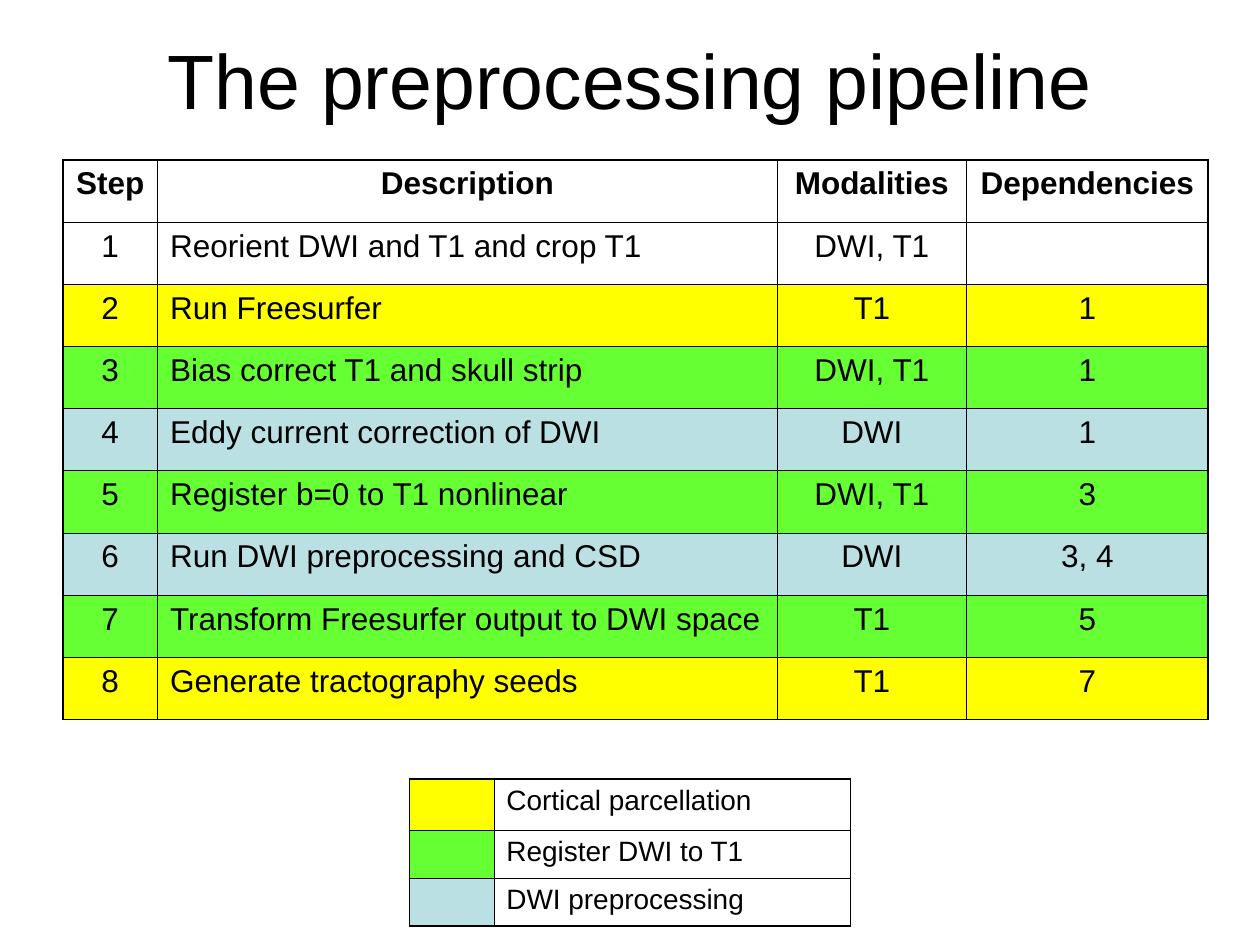
from lxml.etree import SubElement
from pptx import Presentation
from pptx.dml.color import RGBColor
from pptx.enum.text import MSO_ANCHOR, PP_ALIGN
from pptx.oxml.ns import qn
from pptx.util import Inches, Pt

COLORS = {
    "ink": "000000",
    "parcellation": "FFFF00",
    "registration": "66FF33",
    "diffusion": "BBE0E3",
}
FONT = "Arial"
OUTER_LINE, INNER_LINE = Pt(1.08), Pt(0.45)

HEADINGS = ["Step", "Description", "Modalities", "Dependencies"]
STEPS = [
    ("Reorient DWI and T1 and crop T1", "DWI, T1", "", None),
    ("Run Freesurfer", "T1", "1", "parcellation"),
    ("Bias correct T1 and skull strip", "DWI, T1", "1", "registration"),
    ("Eddy current correction of DWI", "DWI", "1", "diffusion"),
    ("Register b=0 to T1 nonlinear", "DWI, T1", "3", "registration"),
    ("Run DWI preprocessing and CSD", "DWI", "3, 4", "diffusion"),
    ("Transform Freesurfer output to DWI space", "T1", "5", "registration"),
    ("Generate tractography seeds", "T1", "7", "parcellation"),
]
LEGEND = [
    ("parcellation", "Cortical parcellation"),
    ("registration", "Register DWI to T1"),
    ("diffusion", "DWI preprocessing"),
]


def write(frame, text, size, align, bold=False):
    para = frame.paragraphs[0]
    para.alignment = align
    span = para.add_run()
    span.text = text
    span.font.name = FONT
    span.font.size = Pt(size)
    span.font.bold = bold
    span.font.color.rgb = RGBColor.from_string(COLORS["ink"])


def draw_borders(cell, outer_sides):
    """Rule all four sides of a cell, heavier on the table's outer sides."""
    properties = cell._tc.get_or_add_tcPr()
    for side in "LRTB":
        width = OUTER_LINE if side in outer_sides else INNER_LINE
        line = SubElement(properties, qn(f"a:ln{side}"), w=str(int(width)))
        fill = SubElement(line, qn("a:solidFill"))
        SubElement(fill, qn("a:srgbClr"), val=COLORS["ink"])


def add_grid(page, left, top, column_widths, row_heights):
    """Add a ruled, unfilled table and return it."""
    row_count, column_count = len(row_heights), len(column_widths)
    table = page.shapes.add_table(
        row_count, column_count, Inches(left), Inches(top),
        Inches(sum(column_widths)), Inches(sum(row_heights))).table
    table.first_row = False
    table.horz_banding = False
    for column, width in zip(table.columns, column_widths):
        column.width = Inches(width)
    for row, height in zip(table.rows, row_heights):
        row.height = Inches(height)
    for i in range(row_count):
        for j in range(column_count):
            edges = {"L": j == 0, "R": j == column_count - 1,
                     "T": i == 0, "B": i == row_count - 1}
            cell = table.cell(i, j)
            draw_borders(cell, [side for side in edges if edges[side]])
            cell.fill.background()
    return table


def paint(cell, color):
    cell.fill.solid()
    cell.fill.fore_color.rgb = RGBColor.from_string(COLORS[color])


def add_title(page, left, top, width, height):
    title = page.shapes.title
    title.left, title.top = Inches(left), Inches(top)
    title.width, title.height = Inches(width), Inches(height)
    title.text_frame.vertical_anchor = MSO_ANCHOR.MIDDLE
    write(title.text_frame, "The preprocessing pipeline", 44, PP_ALIGN.CENTER)


def add_pipeline(page, left, top, height):
    row_count = len(STEPS) + 1
    table = add_grid(page, left, top, [0.75, 4.92, 1.5, 1.92],
                     [height / row_count] * row_count)
    for j, heading in enumerate(HEADINGS):
        write(table.cell(0, j).text_frame, heading, 18, PP_ALIGN.CENTER, bold=True)
    for number, (description, modalities, dependencies, color) in enumerate(STEPS, 1):
        values = [str(number), description, modalities, dependencies]
        for j, value in enumerate(values):
            cell = table.cell(number, j)
            if value:
                align = PP_ALIGN.LEFT if j == 1 else PP_ALIGN.CENTER
                write(cell.text_frame, value, 18, align)
            if color:
                paint(cell, color)


def add_legend(page, left, top):
    table = add_grid(page, left, top, [0.67, 2.83], [0.41, 0.38, 0.38])
    for i, (color, label) in enumerate(LEGEND):
        swatch = table.cell(i, 0)
        swatch.margin_top = swatch.margin_bottom = 0
        paint(swatch, color)
        write(table.cell(i, 1).text_frame, label, 16, PP_ALIGN.LEFT)


def main():
    deck = Presentation()
    deck.slide_width, deck.slide_height = Inches(10), Inches(7.5)
    page = deck.slides.add_slide(deck.slide_layouts[5])
    add_title(page, 0.5, 0, 9, 1.25)
    add_pipeline(page, 0.5, 1.27, 4.44)
    add_legend(page, 3.25, 6.18)
    deck.save("out.pptx")


if __name__ == "__main__":
    main()
